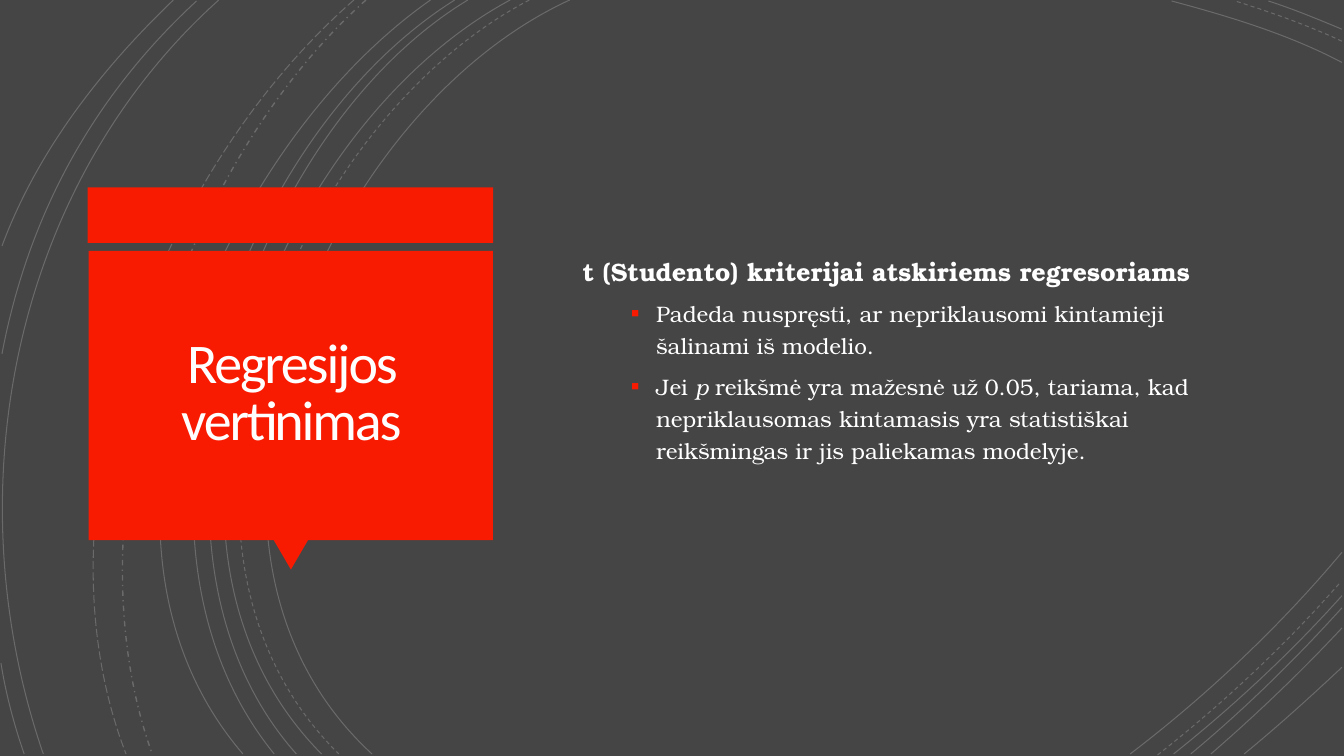
"""Build the slide on t criteria for judging a regression."""
from lxml import etree
from pptx import Presentation
from pptx.dml.color import RGBColor
from pptx.enum.dml import MSO_LINE
from pptx.enum.shapes import MSO_SHAPE
from pptx.enum.text import MSO_ANCHOR, MSO_AUTO_SIZE, PP_ALIGN
from pptx.oxml.ns import qn
from pptx.util import Cm, Pt

SOLID, DASH = MSO_LINE.SOLID, MSO_LINE.DASH
LONG_DASH, DASH_DOT = MSO_LINE.LONG_DASH, MSO_LINE.DASH_DOT
RECT, TRIANGLE = MSO_SHAPE.RECTANGLE, MSO_SHAPE.ISOSCELES_TRIANGLE
MIDDLE, CENTER, NO_FIT = MSO_ANCHOR.MIDDLE, PP_ALIGN.CENTER, MSO_AUTO_SIZE.NONE

GREY, RED, WHITE, TITLE_WHITE = "454545", "F81B02", "FFFFFF", "FFFEFF"

TITLE = "Regresijos vertinimas"
HEADING = {"size": Pt(18), "bold": True}
BODY = {"size": Pt(16), "bold": False}
ITALIC = {**BODY, "italic": True}
PARAGRAPHS = [
    (False, [("t (Studento) kriterijai atskiriems regresoriams", HEADING)]),
    (True, [("Padeda nuspręsti, ar nepriklausomi kintamieji šalinami iš modelio.", BODY)]),
    (True, [("Jei ", BODY), ("p ", ITALIC),
            ("reikšmė yra mažesnė už 0.05, tariama, kad nepriklausomas kintamasis yra "
             "statistiškai reikšmingas ir jis paliekamas modelyje.", BODY)]),
]
BACKDROP = (RECT, (0, 0, 13.33, 7.48), 0, GREY)
PANEL = [
    (RECT, (0.87, 1.86, 4.02, 0.55), 0, RED),
    (TRIANGLE, (2.71, 5.35, 0.35, 0.3), 180, RED),
    (RECT, (0.88, 2.49, 4.01, 2.87), 0, RED),
]
TITLE_BOX = (0.97, 2.57, 3.83, 2.69)
BODY_BOX = (5.6, 0.88, 6.87, 5.33)
ARCS = [
    (SOLID, 0.75, [(5.65, 0), (3.15, 1.15), (1.43, 5.4), (3.69, 7.48)]),
    (SOLID, 0.75, [(13.31, 0.62), (12.78, 0.34), (12.18, 0.16), (11.62, 0.01)]),
    (SOLID, 0.75, [(11.21, 7.48), (11.97, 6.9), (12.69, 6.22), (13.31, 5.48)]),
    (DASH, 0.75, [(5.25, 0), (2.85, 1.25), (1.23, 5.37), (3.36, 7.48)]),
    (DASH, 0.75, [(13.31, 0.41), (12.97, 0.25), (12.6, 0.12), (12.25, 0.01)]),
    (DASH, 0.75, [(11.48, 7.49), (12.13, 6.98), (12.75, 6.4), (13.3, 5.77)]),
    (SOLID, 0.75, [(5.06, 0), (2.7, 1.27), (1.1, 5.37), (3.19, 7.48)]),
    (SOLID, 0.75, [(13.31, 0.29), (13.07, 0.19), (12.83, 0.09), (12.58, 0.01)]),
    (SOLID, 0.75, [(11.64, 7.48), (12.23, 7.01), (12.8, 6.48), (13.31, 5.91)]),
    (SOLID, 0.75, [(4.64, 0), (2.44, 1.33), (1.1, 5.41), (2.94, 7.48)]),
    (SOLID, 0.75, [(11.81, 7.48), (12.34, 7.04), (12.84, 6.55), (13.31, 6.03)]),
    (SOLID, 0.75, [(4.51, 0), (2.31, 1.38), (0.97, 5.33), (2.72, 7.48)]),
    (SOLID, 0.75, [(12.01, 7.48), (12.46, 7.09), (12.9, 6.67), (13.31, 6.23)]),
    (SOLID, 0.75, [(4.27, 0), (2.17, 1.47), (0.53, 5.29), (2.41, 7.48)]),
    (SOLID, 0.75, [(12.34, 7.48), (12.67, 7.21), (12.99, 6.92), (13.31, 6.62)]),
    (DASH_DOT, 1, [(3.63, 0), (1.76, 1.66), (0.65, 5.09), (1.51, 7.48)]),
    (LONG_DASH, 0.75, [(3.51, 0), (1.57, 1.69), (0.29, 4.99), (1.25, 7.48)]),
    (SOLID, 0.75, [(2.17, 0), (0.11, 1.85), (-0.46, 4.9), (0.43, 7.48)]),
    (SOLID, 0.75, [(1.95, 0.01), (0.92, 0.96), (0.28, 2.14), (0.02, 3.51)]),
    (SOLID, 0.75, [(0.01, 6.58), (0.06, 6.89), (0.14, 7.19), (0.24, 7.48)]),
    (SOLID, 0.75, [(1.72, 0), (1, 0.69), (0.37, 1.5), (0.02, 2.44)]),
]


def inch(value):
    """Turn inches into a length."""
    return Cm(value * 2.54)


def rgb(code):
    """Turn a hex string into a colour."""
    return RGBColor.from_string(code)


def apply(target, values):
    """Set every attribute named in a dict."""
    for name, value in values.items():
        setattr(target, name, value)


def place(sp, box):
    """Move and size a shape."""
    apply(sp, dict(zip(("left", "top", "width", "height"), map(inch, box))))


def add_arc(slide, dash, width, points):
    """Draw one faint curved line."""
    start, *rest = [tuple(map(inch, point)) for point in points]
    builder = slide.shapes.build_freeform(*start)
    builder.add_line_segments(rest, close=False)
    sp = builder.convert_to_shape()
    outline = sp._element.find(".//" + qn("a:path"))
    curve = etree.SubElement(outline, qn("a:cubicBezTo"))
    for segment in outline.findall(qn("a:lnTo")):
        curve.append(segment[0])
        outline.remove(segment)
    sp.shadow.inherit = False
    sp.fill.background()
    sp.line.color.rgb = rgb(WHITE)
    apply(sp.line, {"width": Pt(width), "dash_style": dash})
    color = sp._element.spPr.find(".//" + qn("a:srgbClr"))
    etree.SubElement(color, qn("a:alpha"), val="20000")


def add_block(slide, kind, box, rotation, color):
    """Draw one plain filled shape."""
    sp = slide.shapes.add_shape(kind, *map(inch, box))
    sp.shadow.inherit = False
    sp.fill.solid()
    sp.fill.fore_color.rgb = rgb(color)
    sp.line.fill.background()
    sp.rotation = rotation


def add_title(slide):
    """Put the title over the panel."""
    sp = slide.shapes.title
    place(sp, TITLE_BOX)
    slide.shapes._spTree.append(sp._element)
    tf = sp.text_frame
    sides = ("left", "top", "right", "bottom")
    apply(tf, {f"margin_{side}": inch(0.25) for side in sides})
    apply(tf, {"word_wrap": True, "auto_size": NO_FIT, "vertical_anchor": MIDDLE})
    p = tf.paragraphs[0]
    apply(p, {"alignment": CENTER, "line_spacing": 0.85})
    p._p.get_or_add_pPr().set("marL", str(inch(0.01)))
    r = p.add_run()
    r.text = TITLE
    apply(r.font, {"name": "Calibri", "size": Pt(40)})
    r.font.color.rgb = rgb(TITLE_WHITE)
    r._r.get_or_add_rPr().set("spc", "-150")


def add_bullet(p):
    """Give a paragraph a small red square."""
    pPr = p._p.get_or_add_pPr()
    color = etree.SubElement(pPr, qn("a:buClr"))
    etree.SubElement(color, qn("a:srgbClr"), val=RED)
    etree.SubElement(pPr, qn("a:buSzPct"), val="110000")
    etree.SubElement(pPr, qn("a:buFont"), typeface="Calibri")
    etree.SubElement(pPr, qn("a:buChar"), char="▪")


def add_body(slide):
    """Write the heading and its bullets."""
    tf = slide.shapes.add_textbox(*map(inch, BODY_BOX)).text_frame
    apply(tf, {"word_wrap": True, "auto_size": NO_FIT, "vertical_anchor": MIDDLE})
    for i, (bulleted, runs) in enumerate(PARAGRAPHS):
        p = tf.add_paragraph() if i else tf.paragraphs[0]
        apply(p, {"line_spacing": 1.2, "space_after": Pt(6), "level": int(bulleted)})
        pPr = p._p.get_or_add_pPr()
        pPr.set("marL", str(inch(0.81 if bulleted else 0.08)))
        pPr.set("indent", str(inch(-0.25 if bulleted else 0)))
        if bulleted:
            add_bullet(p)
        for text, font in runs:
            r = p.add_run()
            r.text = text
            apply(r.font, {"name": "TeX Gyre Bonum", **font})
            r.font.color.rgb = rgb(WHITE)


def main():
    """Build and save the slide."""
    prs = Presentation()
    apply(prs, {"slide_width": inch(13.33), "slide_height": inch(7.5)})
    slide = prs.slides.add_slide(prs.slide_layouts[5])
    slide.background.fill.solid()
    slide.background.fill.fore_color.rgb = rgb(GREY)
    add_block(slide, *BACKDROP)
    for arc in ARCS:
        add_arc(slide, *arc)
    for block in PANEL:
        add_block(slide, *block)
    add_title(slide)
    add_body(slide)
    prs.save("out.pptx")


if __name__ == "__main__":
    main()
